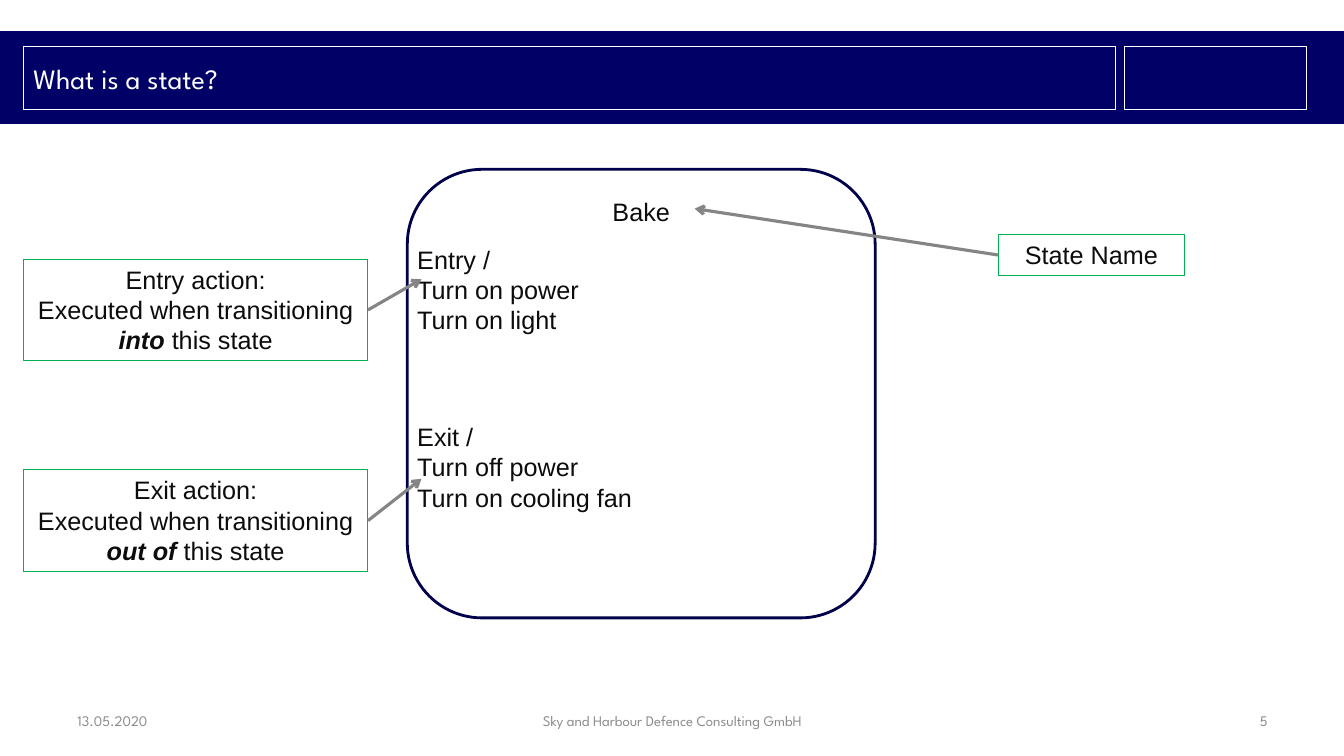
from lxml.etree import SubElement
from pptx import Presentation
from pptx.dml.color import RGBColor
from pptx.enum.shapes import MSO_CONNECTOR as CONN, MSO_SHAPE as SHAPE
from pptx.enum.text import MSO_ANCHOR as ANCHOR, PP_ALIGN as ALIGN
from pptx.oxml.ns import qn
from pptx.util import Inches, Pt

NAVY = RGBColor(0x00, 0x00, 0x66)
OUTLINE = RGBColor(0x00, 0x00, 0x4B)
WHITE = RGBColor(0xFF, 0xFF, 0xFF)
GREEN = RGBColor(0x00, 0xB0, 0x50)
INK = RGBColor(0x0C, 0x0C, 0x0C)
ARROW = RGBColor(0x85, 0x85, 0x85)
MUTED = RGBColor(0x8C, 0x8C, 0x8C)
HEAD_FONT, BODY_FONT = "League Spartan", "Arial"


def set_font(p, name, size, color, align=ALIGN.LEFT):
    """Set the font and alignment of a whole paragraph."""
    p.font.name, p.font.size, p.font.color.rgb = name, Pt(size), color
    p.alignment = align


def add_box(slide, kind, box, fill=None, line=None, width=0.75):
    """Add a shadowless preset shape with optional fill and line."""
    s = slide.shapes.add_shape(kind, *map(Inches, box))
    s.shadow.inherit = False
    if fill is None:
        s.fill.background()
    else:
        s.fill.solid()
        s.fill.fore_color.rgb = fill
    if line is None:
        s.line.fill.background()
    else:
        s.line.color.rgb, s.line.width = line, Pt(width)
    s.text_frame.word_wrap = True
    return s


def add_text(slide, box, lines, name, size, color, align=ALIGN.LEFT, anchor=ANCHOR.TOP):
    """Add a wrapping text box with one paragraph per line."""
    tf = slide.shapes.add_textbox(*map(Inches, box)).text_frame
    tf.word_wrap, tf.vertical_anchor = True, anchor
    tf.text = "\n".join(lines)
    for p in tf.paragraphs:
        set_font(p, name, size, color, align)
    return tf


def add_arrow(slide, start, end):
    """Draw a grey arrow from start to end."""
    c = slide.shapes.add_connector(CONN.STRAIGHT, *map(Inches, start + end))
    c.line.color.rgb, c.line.width = ARROW, Pt(2.25)
    SubElement(c.line._get_or_add_ln(), qn("a:tailEnd"), type="arrow")
    SubElement(c._element.spPr, qn("a:effectLst"))


def add_header(slide, box, title):
    """Draw the navy band with the framed title and the empty frame."""
    left, top, width, _ = box
    add_box(slide, SHAPE.RECTANGLE, box, NAVY)
    add_box(slide, SHAPE.RECTANGLE, (left + 11.15, top + 0.15, 1.81, 0.63), NAVY, WHITE)
    sp = slide.shapes.title
    sp.left, sp.top = Inches(left + 0.23), Inches(top + 0.15)
    sp.width, sp.height = Inches(10.83), Inches(0.63)
    sp.line.color.rgb, sp.line.width = WHITE, Pt(0.75)
    tf = sp.text_frame
    tf.text, tf.vertical_anchor = title, ANCHOR.MIDDLE
    set_font(tf.paragraphs[0], HEAD_FONT, 20, WHITE)
    slide.shapes._spTree.append(sp._element)


def add_state(slide, box, name, entry, exit_lines):
    """Draw a state with its name, entry actions and exit actions."""
    left, top, width, _ = box
    s = add_box(slide, SHAPE.ROUNDED_RECTANGLE, box, line=OUTLINE, width=2)
    tf = s.text_frame
    tf.text, tf.vertical_anchor = name, ANCHOR.TOP
    set_font(tf.paragraphs[0], BODY_FONT, 18, INK, ALIGN.CENTER)
    tf = add_text(slide, (left, top + 0.69, width, 2.83), entry + exit_lines,
                  BODY_FONT, 18, INK)
    tf.paragraphs[len(entry)].space_before = Pt(62)


def add_callout(slide, box, paragraphs, target):
    """Draw a label whose arrow leaves the side facing its target."""
    left, top, width, height = box
    tf = add_box(slide, SHAPE.RECTANGLE, box, WHITE, GREEN).text_frame
    tf.vertical_anchor = ANCHOR.TOP
    for i, runs in enumerate(paragraphs):
        p = tf.add_paragraph() if i else tf.paragraphs[0]
        set_font(p, BODY_FONT, 18, INK, ALIGN.CENTER)
        for text, strong in runs:
            r = p.add_run()
            r.text = text
            if strong:
                r.font.bold = r.font.italic = True
    side = left if target[0] < left else left + width
    add_arrow(slide, (side, top + height / 2), target)


def add_action_callout(slide, box, kind, direction, target):
    """Explain when an entry or exit action runs."""
    add_callout(slide, box, [
        [(f"{kind} action:", False)],
        [("Executed when transitioning ", False), (f"{direction} ", True),
         ("this state", False)],
    ], target)


def add_footer(slide, box, date, owner, number):
    """Place date, owner and slide number along the bottom."""
    left, top, _, height = box
    for dx, width, text, align in ((0, 3.11, date, ALIGN.LEFT),
                                   (3.27, 5.46, owner, ALIGN.CENTER),
                                   (8.89, 3.11, number, ALIGN.RIGHT)):
        add_text(slide, (left + dx, top, width, height), [text],
                 HEAD_FONT, 10.5, MUTED, align, ANCHOR.MIDDLE)


def main():
    """Build and save the slide."""
    prs = Presentation()
    prs.slide_width, prs.slide_height = Inches(13.33), Inches(7.5)
    slide = prs.slides.add_slide(prs.slide_layouts[5])
    add_header(slide, (0, 0.31, 13.33, 0.92), "What is a state?")
    add_footer(slide, (0.67, 6.95, 12, 0.4), "13.05.2020",
               "Sky and Harbour Defence Consulting GmbH", "5")
    add_state(slide, (4.04, 1.68, 4.64, 4.45), "Bake",
              ["Entry /", "Turn on power", "Turn on light"],
              ["Exit /", "Turn off power", "Turn on cooling fan"])
    add_callout(slide, (9.9, 2.33, 1.85, 0.4), [[("State Name", False)]], (6.89, 2.07))
    add_action_callout(slide, (0.23, 2.57, 3.42, 1.01), "Entry", "into", (4.18, 2.77))
    add_action_callout(slide, (0.23, 4.66, 3.42, 1.01), "Exit", "out of", (4.18, 4.75))
    prs.save("out.pptx")


if __name__ == "__main__":
    main()
